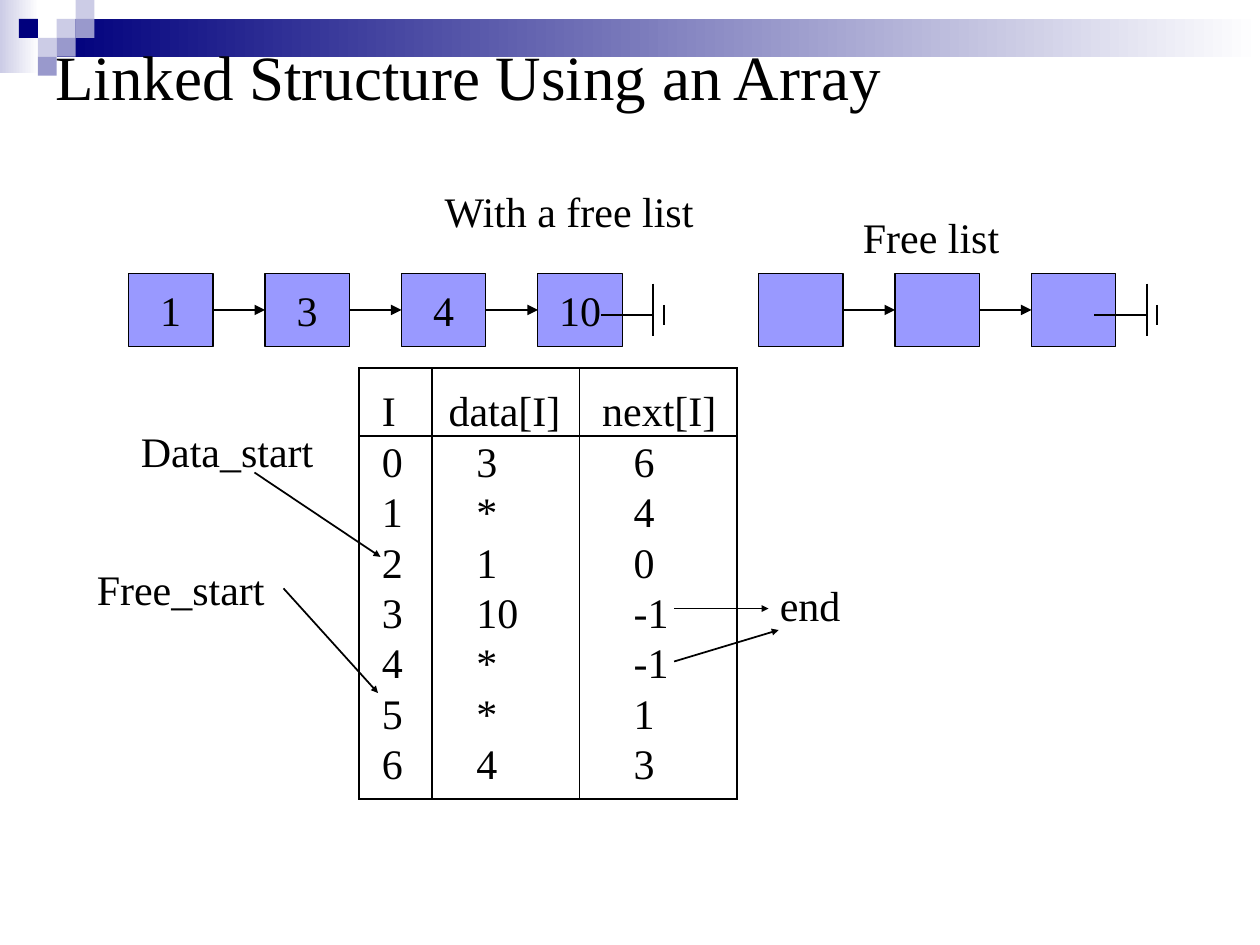
from lxml.etree import SubElement
from pptx import Presentation
from pptx.dml.color import RGBColor
from pptx.enum.shapes import MSO_CONNECTOR as Link, MSO_SHAPE as Shape
from pptx.enum.text import MSO_ANCHOR as Anchor, PP_ALIGN as Align
from pptx.oxml.ns import qn
from pptx.util import Inches, Pt

THEME = {
    "font": "Times New Roman", "title": 36, "body": 24,
    "ink": "000000", "paper": "FFFFFF", "node": "9999FF",
    "navy": "00007D", "pale": "CCCCE6", "mid": "9999CC",
    "thin": 0.75, "rule": 1,
}

# Content
TITLE = "Linked Structure Using an Array"
LABELS = [  # text, left, top, width
    ("With a free list", 3.43, 1.42, 2.19),
    ("Free list", 6.75, 1.63, 1.28),
    ("Data_start", 1.02, 3.33, 1.57),
    ("Free_start", 0.67, 4.42, 1.53),
    ("end", 6.09, 4.55, 0.68),
]
LISTS = [(1.02, ["1", "3", "4", "10"]), (6.02, ["", "", ""])]  # left, nodes
ROWS = [
    ("I", "data[I]", "next[I]"),
    ("0", "3", "6"),
    ("1", "*", "4"),
    ("2", "1", "0"),
    ("3", "10", "-1"),
    ("4", "*", "-1"),
    ("5", "*", "1"),
    ("6", "4", "3"),
]
POINTERS = [  # from, to
    ((2.02, 3.75), (3.02, 4.42)),
    ((2.25, 4.67), (3, 5.5)),
    ((5.35, 4.83), (6.1, 4.83)),
    ((5.35, 5.25), (6.18, 5)),
]

# Layout
BANDS = [((0, 0, 0.31, 0.58), "pale"), ((0.45, 0.15, 9.55, 0.3), "navy")]
TILE = 0.15
TILES = [(3, 1, "pale"), (4, 0, "pale"), (4, 1, "mid"), (2, 2, "pale"),
         (1, 1, "navy"), (3, 2, "mid"), (2, 3, "mid")]  # column, row, colour
NODE_TOP, NODE_W, NODE_H, NODE_STEP = 2.17, 0.67, 0.58, 1.083
TABLE_LEFT, TABLE_TOP = 2.85, 2.92
COLUMN_W = [0.58, 1.17, 1.25]
HEAD_H, ROW_H, FOOT_GAP = 0.54, 0.4, 0.08
HEAD_INDENT = [0.18, 0.13, 0.18]
VALUE_INDENT = [0.18, 0.35, 0.43]


def color(name):
    return RGBColor.from_string(THEME[name])


def write(para, text, size="body"):
    span = para.add_run()
    span.text = text
    span.font.name = THEME["font"]
    span.font.size = Pt(THEME[size])
    span.font.color.rgb = color("ink")


def add_box(page, place, fill=None):
    box = page.shapes.add_shape(Shape.RECTANGLE, *map(Inches, place))
    box.shadow.inherit = False
    box.line.fill.background()
    if fill:
        box.fill.solid()
        box.fill.fore_color.rgb = color(fill)
    return box


def add_line(page, start, end, width="rule", head=None):
    line = page.shapes.add_connector(Link.STRAIGHT, *map(Inches, start + end))
    line.line.color.rgb = color("ink")
    line.line.width = Pt(THEME[width])
    if head:
        SubElement(line.line._get_or_add_ln(), qn("a:tailEnd"),
                   type="triangle", w=head, len=head)
    SubElement(line.element.spPr, qn("a:effectLst"))
    return line


def add_header(page):
    for place, shade in BANDS:
        band = add_box(page, place)
        band.fill.gradient()
        band.fill.gradient_angle = 0
        for stop, name in zip(band.fill.gradient_stops, (shade, "paper")):
            stop.color.rgb = color(name)
    for column, row, shade in TILES:
        add_box(page, (column * TILE, row * TILE, TILE, TILE), shade)


def add_title(page):
    title = page.shapes.title
    title.left, title.top, title.width, title.height = map(
        Inches, (0.34, 0.25, 6.78, 0.7))
    frame = title.text_frame
    frame.word_wrap = False
    frame.vertical_anchor = Anchor.TOP
    frame.paragraphs[0].alignment = Align.LEFT
    write(frame.paragraphs[0], TITLE, "title")
    title.element.getparent().append(title.element)  # in front of the bands


def add_list(page, left, values):
    previous = None
    for i, value in enumerate(values):
        x = left + i * NODE_STEP
        node = add_box(page, (x, NODE_TOP, NODE_W, NODE_H), "node")
        node.line.color.rgb = color("ink")
        node.line.width = Pt(THEME["thin"])
        frame = node.text_frame
        frame.word_wrap = False
        frame.vertical_anchor = Anchor.MIDDLE
        if value:
            frame.paragraphs[0].alignment = Align.CENTER
            write(frame.paragraphs[0], value)
        if previous:
            y = NODE_TOP + NODE_H / 2
            arrow = add_line(page, (x - NODE_STEP + NODE_W, y), (x, y), "thin", "med")
            arrow.begin_connect(previous, 3)
            arrow.end_connect(node, 1)
        previous = node
    # Ground symbol after the last node
    bar = x + 0.915
    add_line(page, (bar - 0.415, 2.5), (bar, 2.5))
    add_line(page, (bar, 2.25), (bar, 2.67))
    add_line(page, (bar + 0.083, 2.42), (bar + 0.083, 2.58))


def set_borders(cell, visible):
    props = cell._tc.get_or_add_tcPr()
    for side in "LRTB":
        edge = SubElement(props, qn(f"a:ln{side}"), w=str(Pt(THEME["rule"])))
        if side in visible:
            fill = SubElement(edge, qn("a:solidFill"))
            SubElement(fill, qn("a:srgbClr"), val=THEME["ink"])
        else:
            SubElement(edge, qn("a:noFill"))


def add_array(page):
    last = len(ROWS) - 1
    heights = [HEAD_H] + [ROW_H] * (last - 1) + [ROW_H + FOOT_GAP]
    table = page.shapes.add_table(
        len(ROWS), len(COLUMN_W), Inches(TABLE_LEFT), Inches(TABLE_TOP),
        Inches(sum(COLUMN_W)), Inches(sum(heights))).table
    table.first_row = table.horz_banding = False
    for column, width in zip(table.columns, COLUMN_W):
        column.width = Inches(width)
    for r, (values, height) in enumerate(zip(ROWS, heights)):
        table.rows[r].height = Inches(height)
        for c, value in enumerate(values):
            cell = table.cell(r, c)
            indent = VALUE_INDENT if r else HEAD_INDENT
            cell.margin_left = Inches(indent[c])
            cell.margin_right = cell.margin_top = 0
            cell.margin_bottom = Inches(FOOT_GAP if r == last else 0)
            cell.vertical_anchor = Anchor.BOTTOM
            sides = "LR" + ("T" if r < 2 else "") + ("B" if r in (0, last) else "")
            set_borders(cell, sides)
            cell.fill.background()
            write(cell.text_frame.paragraphs[0], value)


def main():
    deck = Presentation()
    deck.slide_width, deck.slide_height = Inches(10), Inches(7.5)
    page = deck.slides.add_slide(deck.slide_layouts[5])
    add_header(page)
    add_title(page)
    for left, values in LISTS:
        add_list(page, left, values)
    add_array(page)
    for text, left, top, width in LABELS:
        label = page.shapes.add_textbox(*map(Inches, (left, top, width, 0.5)))
        label.text_frame.word_wrap = False
        write(label.text_frame.paragraphs[0], text)
    for start, end in POINTERS:
        add_line(page, start, end, head="sm")
    deck.save("out.pptx")


if __name__ == "__main__":
    main()
